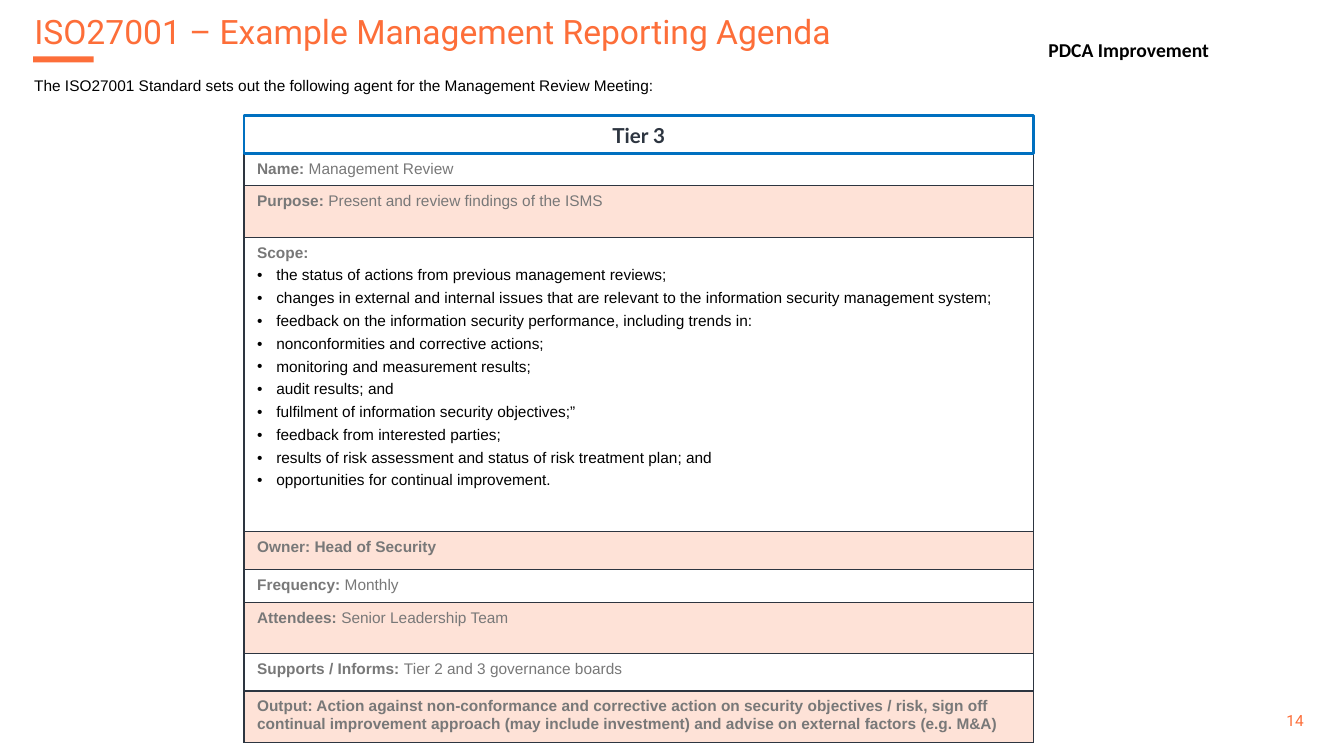
from dataclasses import dataclass

from lxml.etree import SubElement
from pptx import Presentation
from pptx.dml.color import RGBColor
from pptx.enum.shapes import MSO_SHAPE
from pptx.enum.text import MSO_ANCHOR, PP_ALIGN
from pptx.oxml.ns import qn
from pptx.util import Inches, Pt

TITLE = "ISO27001 – Example Management Reporting Agenda"
INTRO = "The ISO27001 Standard sets out the following agent for the Management Review Meeting:"
STAGE = "PDCA Improvement"
TIER = "Tier 3"
PAGE_NUMBER = "14"

SCOPE = [
    "the status of actions from previous management reviews;",
    "changes in external and internal issues that are relevant to the information security management system;",
    "feedback on the information security performance, including trends in:",
    "nonconformities and corrective actions;",
    "monitoring and measurement results;",
    "audit results; and",
    "fulfilment of information security objectives;”",
    "feedback from interested parties;",
    "results of risk assessment and status of risk treatment plan; and",
    "opportunities for continual improvement.",
]

# Bold label, plain value, bullets, row height in inches
AGENDA = [
    ("Name: ", "Management Review", [], 0.32),
    ("Purpose: ", "Present and review findings of the ISMS", [], 0.51),
    ("Scope:", "", SCOPE, 2.92),
    ("Owner: Head of Security", "", [], 0.38),
    ("Frequency: ", "Monthly", [], 0.32),
    ("Attendees: ", "Senior Leadership Team", [], 0.51),
    ("Supports / Informs: ", "Tier 2 and 3 governance boards", [], 0.37),
    ("Output: Action against non-conformance and corrective action on security objectives / risk, "
     "sign off continual improvement approach (may include investment) and advise on external "
     "factors (e.g. M&A)", "", [], 0.51),
]


@dataclass(frozen=True)
class Theme:
    accent: str = "FD6E39"
    dark: str = "2D3540"
    grey: str = "787878"
    black: str = "000000"
    white: str = "FFFFFF"
    frame: str = "0070C0"
    title_size: float = 24
    tier_size: float = 14.7
    stage_size: float = 14
    body_size: float = 11


THEME = Theme()
TABLE_LEFT, TABLE_TOP, TABLE_WIDTH = 2.42, 1.52, 7.83
TIER_HEIGHT = 0.37
TINT_PERCENT = 20


def add_span(para, text, size, color, name="Arial", bold=False):
    span = para.add_run()
    span.text = text
    for key, value in {"size": Pt(size), "name": name, "bold": bold}.items():
        setattr(span.font, key, value)
    span.font.color.rgb = RGBColor.from_string(color)


def add_label(page, place, text, size, color, align=PP_ALIGN.LEFT,
              anchor=MSO_ANCHOR.TOP, **font):
    box = page.shapes.add_textbox(*map(Inches, place))
    box.text_frame.word_wrap = True
    box.text_frame.vertical_anchor = anchor
    para = box.text_frame.paragraphs[0]
    para.alignment = align
    add_span(para, text, size, color, **font)


def add_block(page, place, fill):
    block = page.shapes.add_shape(MSO_SHAPE.RECTANGLE, *map(Inches, place))
    block.shadow.inherit = False
    block.fill.solid()
    block.fill.fore_color.rgb = RGBColor.from_string(fill)
    block.line.fill.background()
    return block


def add_title(page):
    title = page.shapes.title
    title.left, title.top, title.width, title.height = map(Inches, (0.24, 0.1, 11.66, 0.46))
    title.text_frame.vertical_anchor = MSO_ANCHOR.MIDDLE
    para = title.text_frame.paragraphs[0]
    para.alignment = PP_ALIGN.LEFT
    para.line_spacing = 0.9
    add_span(para, TITLE, THEME.title_size, THEME.accent, name="Roboto")
    add_block(page, (0.33, 0.56, 0.6, 0.06), THEME.accent)


def add_tier_heading(page):
    heading = add_block(page, (TABLE_LEFT, TABLE_TOP - TIER_HEIGHT, TABLE_WIDTH, TIER_HEIGHT),
                        THEME.white)
    heading.line.color.rgb = RGBColor.from_string(THEME.frame)
    heading.line.width = Pt(2)
    frame = heading.text_frame
    frame.vertical_anchor = MSO_ANCHOR.MIDDLE
    frame.margin_top = Inches(0.07)
    para = frame.paragraphs[0]
    para.alignment = PP_ALIGN.CENTER
    add_span(para, TIER, THEME.tier_size, THEME.dark, name="Lato", bold=True)


def style_cell(cell, tinted):
    """Set margins, borders and fill; the borders must come before the fill."""
    for side in ("left", "right"):
        setattr(cell, f"margin_{side}", Inches(0.13))
    for side in ("top", "bottom"):
        setattr(cell, f"margin_{side}", Inches(0.07))
    properties = cell._tc.get_or_add_tcPr()
    for edge in "LRTB":
        line = SubElement(properties, qn(f"a:ln{edge}"), w=str(Pt(1)))
        SubElement(SubElement(line, qn("a:solidFill")), qn("a:srgbClr"), val=THEME.dark)
    if tinted:
        cell.fill.solid()
        cell.fill.fore_color.rgb = RGBColor.from_string(THEME.accent)
        color = properties.find(qn("a:solidFill")).find(qn("a:srgbClr"))
        SubElement(color, qn("a:alpha"), val=str(TINT_PERCENT * 1000))
    else:
        cell.fill.background()


def add_bullet(frame, text):
    para = frame.add_paragraph()
    properties = para._p.get_or_add_pPr()
    indent = Inches(0.19)
    properties.set("marL", str(indent))
    properties.set("indent", str(-indent))
    SubElement(properties, qn("a:buFont"), typeface="Arial")
    SubElement(properties, qn("a:buChar"), char="•")
    para.space_before = para.space_after = Pt(2)
    add_span(para, text, THEME.body_size, THEME.black)


def add_agenda(page):
    total = sum(row[-1] for row in AGENDA)
    place = map(Inches, (TABLE_LEFT, TABLE_TOP, TABLE_WIDTH, total))
    table = page.shapes.add_table(len(AGENDA), 1, *place).table
    table.first_row = table.horz_banding = False
    for index, (label, value, bullets, height) in enumerate(AGENDA):
        table.rows[index].height = Inches(height)
        cell = table.cell(index, 0)
        style_cell(cell, tinted=index % 2 == 1)
        para = cell.text_frame.paragraphs[0]
        add_span(para, label, THEME.body_size, THEME.grey, bold=True)
        if value:
            add_span(para, value, THEME.body_size, THEME.grey)
        if bullets:
            para.space_after = Pt(2)
        for bullet in bullets:
            add_bullet(cell.text_frame, bullet)


def main():
    deck = Presentation()
    deck.slide_width, deck.slide_height = Inches(13.33), Inches(7.5)
    page = deck.slides.add_slide(deck.slide_layouts[5])
    add_title(page)
    add_label(page, (12.19, 6.95, 0.84, 0.4), PAGE_NUMBER, THEME.body_size, THEME.accent,
              align=PP_ALIGN.RIGHT, anchor=MSO_ANCHOR.MIDDLE, name="Roboto")
    add_label(page, (0.24, 0.71, 12.05, 0.53), INTRO, THEME.body_size, THEME.black)
    add_agenda(page)
    add_tier_heading(page)
    add_label(page, (10.3, 0.33, 3, 0.34), STAGE, THEME.stage_size, THEME.black,
              name="Calibri", bold=True)
    deck.save("out.pptx")


if __name__ == "__main__":
    main()
